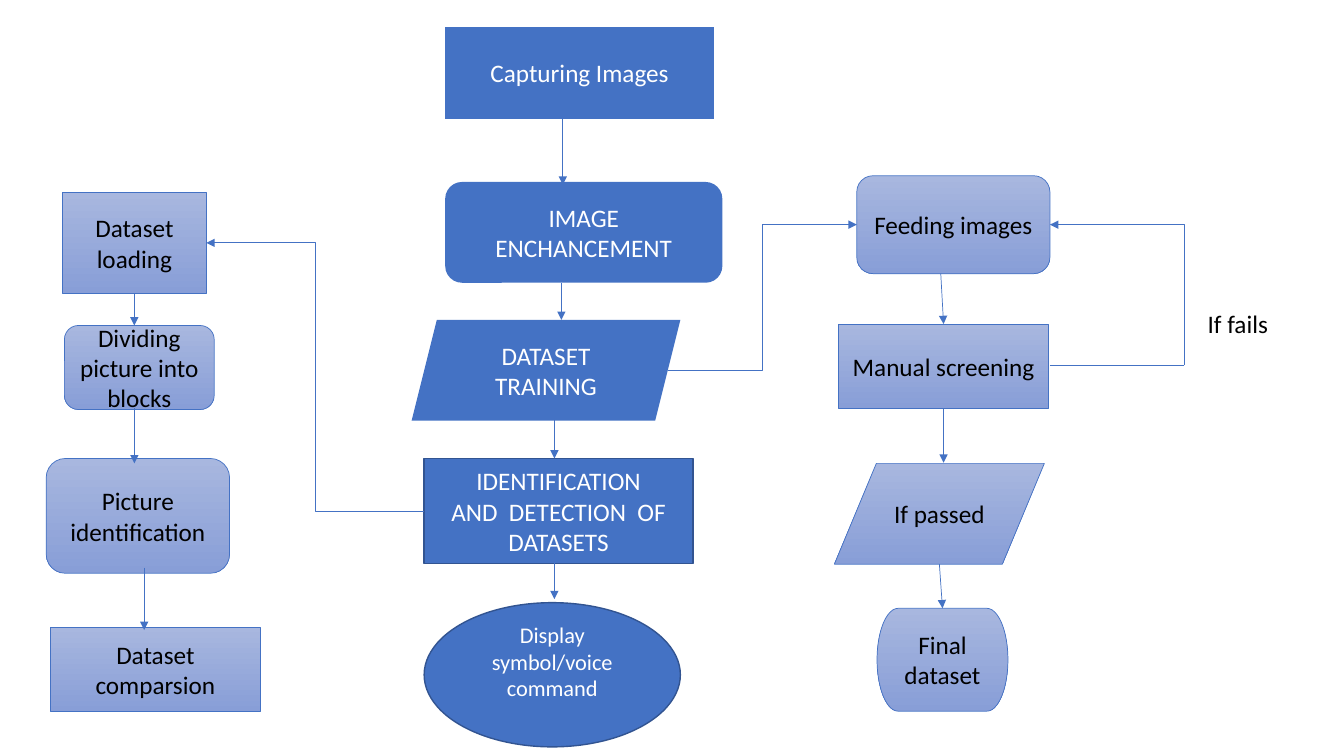
from lxml import etree
from pptx import Presentation
from pptx.dml.color import RGBColor
from pptx.enum.shapes import MSO_CONNECTOR as LINK, MSO_SHAPE as SHAPE
from pptx.enum.text import MSO_ANCHOR as ANCHOR, PP_ALIGN as ALIGN
from pptx.oxml.ns import qn
from pptx.util import Pt

COLORS = {
    "blue": "4472C4",
    "edge": "325491",
    "light": "A8B7DF",
    "deep": "889ED7",
    "white": "FFFFFF",
    "black": "000000",
}
TOP, LEFT, BOTTOM, RIGHT = range(4)


def rgb(name):
    return RGBColor.from_string(COLORS[name])


def write_text(frame, text, size=18, color="black", align=ALIGN.CENTER,
               anchor=ANCHOR.MIDDLE, bottom=3.6):
    frame.word_wrap = True
    frame.vertical_anchor = anchor
    frame.margin_bottom = Pt(bottom)
    frame.text = text
    for paragraph in frame.paragraphs:
        paragraph.alignment = align
        paragraph.font.size = Pt(size)
        paragraph.font.name = "Calibri"
        paragraph.font.color.rgb = rgb(color)


def add_step(slide, origin, kind, place, text, edge=None, **style):
    x, y, width, height = place
    step = slide.shapes.add_shape(
        kind, Pt(origin[0] + x), Pt(origin[1] + y), Pt(width), Pt(height))
    step.shadow.inherit = False
    step.fill.solid()
    step.fill.fore_color.rgb = rgb("blue")
    if edge:
        step.line.color.rgb = rgb(edge)
        step.line.width = Pt(1)
    else:
        step.line.fill.background()
    write_text(step.text_frame, text, **{"color": "white", **style})
    return step


def add_substep(slide, origin, kind, place, text):
    substep = add_step(slide, origin, kind, place, text, color="black")
    substep.fill.gradient()
    substep.fill.gradient_angle = 270
    for stop, name in zip(substep.fill.gradient_stops, ("light", "deep")):
        stop.color.rgb = rgb(name)
    substep.line.color.rgb = rgb("blue")
    substep.line.width = Pt(0.5)
    return substep


def add_flow(slide, origin, start, end, kind=LINK.STRAIGHT, source=None,
             target=None, arrow=True, bend=None):
    (x1, y1), (x2, y2) = start, end
    flow = slide.shapes.add_connector(
        kind, Pt(origin[0] + x1), Pt(origin[1] + y1),
        Pt(origin[0] + x2), Pt(origin[1] + y2))
    if source:
        flow.begin_connect(*source)
    if target:
        flow.end_connect(*target)
    flow.line.color.rgb = rgb("blue")
    flow.line.width = Pt(0.5)
    properties = flow._element.spPr
    if arrow:
        etree.SubElement(properties.find(qn("a:ln")), qn("a:tailEnd"), type="triangle")
    if bend is not None:
        guides = properties.find(qn("a:prstGeom")).find(qn("a:avLst"))
        etree.SubElement(guides, qn("a:gd"), name="adj1", fmla=f"val {bend}")
    etree.SubElement(properties, qn("a:effectLst"))
    return flow


def build_main_column(slide, origin):
    add_step(slide, origin, SHAPE.FLOWCHART_PROCESS, (24, 0, 192, 66), "Capturing Images")
    add_step(slide, origin, SHAPE.FLOWCHART_ALTERNATE_PROCESS, (24, 111, 198, 72),
             "IMAGE ENCHANCEMENT")
    add_step(slide, origin, SHAPE.PARALLELOGRAM, (0, 209.5, 192, 72), "DATASET TRAINING")
    identification = add_step(
        slide, origin, SHAPE.FLOWCHART_PROCESS, (9, 308.5, 192, 75),
        "IDENTIFICATION\nAND  DETECTION  OF DATASETS", edge="edge")
    add_step(slide, origin, SHAPE.FLOWCHART_CONNECTOR, (9, 411.5, 183, 103),
             "Display symbol/voice command", edge="edge", size=16, bottom=23)
    for x, top, bottom in ((108, 65.5, 113), (107, 183, 209.5),
                           (102, 276, 308.5), (102, 383.5, 409)):
        add_flow(slide, origin, (x, top), (x, bottom))
    return identification


def build_loading_column(slide, origin):
    loading = add_substep(slide, origin, SHAPE.FLOWCHART_PROCESS,
                          (11.5, 0, 103, 72), "Dataset loading")
    add_substep(slide, origin, SHAPE.FLOWCHART_ALTERNATE_PROCESS,
                (13, 95, 107, 60), "Dividing picture into blocks")
    add_substep(slide, origin, SHAPE.FLOWCHART_ALTERNATE_PROCESS,
                (0, 190, 131, 82), "Picture identification")
    add_substep(slide, origin, SHAPE.FLOWCHART_PROCESS,
                (3, 310.5, 150, 60), "Dataset comparsion")
    add_flow(slide, origin, (63, 72), (63, 95), source=(loading, BOTTOM))
    add_flow(slide, origin, (63, 154), (63, 193.5))
    add_flow(slide, origin, (70, 268), (70, 312.5))
    return loading


def build_screening_column(slide, origin):
    feeding = add_substep(slide, origin, SHAPE.FLOWCHART_ALTERNATE_PROCESS,
                          (16, 0, 138, 70), "Feeding images")
    screening = add_substep(slide, origin, SHAPE.FLOWCHART_PROCESS,
                            (3, 106, 150, 60), "Manual screening")
    add_substep(slide, origin, SHAPE.FLOWCHART_DATA, (0, 205.5, 150, 72), "If passed")
    final = add_substep(slide, origin, SHAPE.FLOWCHART_TERMINATOR,
                        (30.5, 309, 93.5, 73.5), "Final dataset")
    add_flow(slide, origin, (76, 70), (78, 106), target=(screening, TOP))
    add_flow(slide, origin, (78, 166), (78, 205), source=(screening, BOTTOM))
    add_flow(slide, origin, (75, 277.5), (77, 309), target=(final, TOP))
    add_flow(slide, origin, (154, 135.5), (250, 135.5), arrow=False)
    add_flow(slide, origin, (250, 135.5), (154, 35), LINK.ELBOW,
             target=(feeding, RIGHT), bend=0)
    failure = slide.shapes.add_textbox(
        Pt(origin[0] + 259.5), Pt(origin[1] + 91), Pt(63), Pt(29))
    write_text(failure.text_frame, "If fails", align=ALIGN.LEFT, anchor=ANCHOR.TOP)
    return feeding


def build_workflow(slide):
    main_origin = (294, 19)
    identification = build_main_column(slide, main_origin)
    loading = build_loading_column(slide, (33, 137.5))
    feeding = build_screening_column(slide, (596, 125.5))
    add_flow(slide, main_origin, (9, 346), (-146, 154.5), LINK.ELBOW,
             source=(identification, LEFT), target=(loading, RIGHT))
    add_flow(slide, main_origin, (183, 245.5), (318, 141.5), LINK.ELBOW,
             target=(feeding, LEFT))


def main():
    deck = Presentation()
    deck.slide_width, deck.slide_height = Pt(960), Pt(540)
    build_workflow(deck.slides.add_slide(deck.slide_layouts[6]))
    deck.save("out.pptx")


if __name__ == "__main__":
    main()
